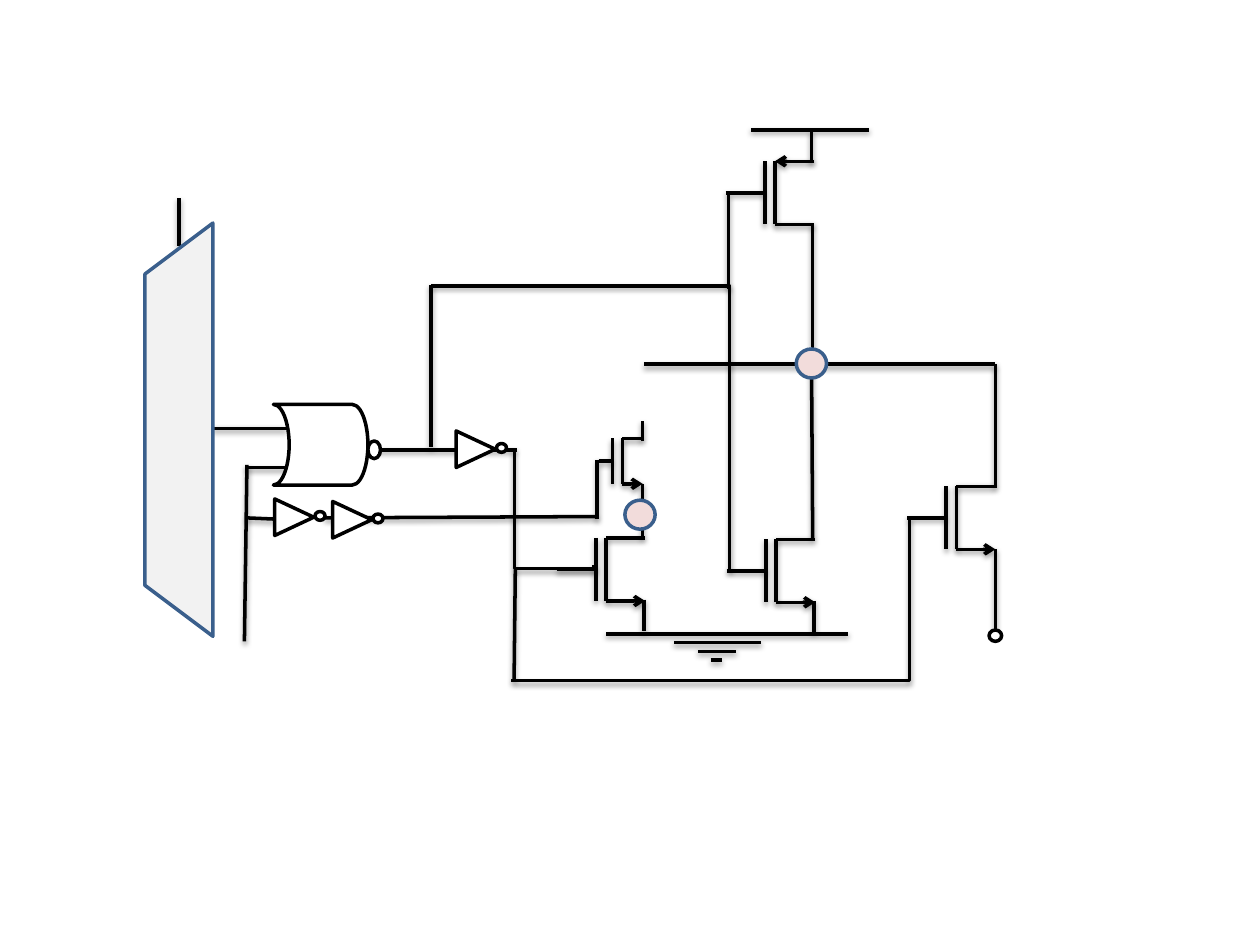
from lxml import etree
from pptx import Presentation
from pptx.dml.color import RGBColor
from pptx.enum.shapes import MSO_CONNECTOR, MSO_SHAPE
from pptx.oxml import parse_xml
from pptx.oxml.ns import nsdecls, qn
from pptx.util import Inches, Pt

THEME = {
    "wire": RGBColor(0x00, 0x00, 0x00),
    "outline": RGBColor(0x3A, 0x5F, 0x8C),
    "node": RGBColor(0xF2, 0xDC, 0xDB),
    "mux": RGBColor(0xF2, 0xF2, 0xF2),
    "gate": RGBColor(0xFF, 0xFF, 0xFF),
    "line": Pt(2),
}
SHADOW = (
    f'<a:effectLst {nsdecls("a")}>'
    '<a:outerShdw blurRad="39400" dist="20300" dir="5400000" rotWithShape="0">'
    '<a:srgbClr val="000000"><a:alpha val="38000"/></a:srgbClr>'
    '</a:outerShdw></a:effectLst>'
)

# Wires: x1, y1, x2, y2
WIRES = [
    # Multiplexer and NOR gate
    (1.42, 1.95, 1.42, 1.57), (1.69, 3.4, 2.27, 3.4),
    (2.28, 3.71, 1.95, 3.71), (1.94, 5.09, 1.96, 3.69),
    (2.98, 3.57, 4.1, 3.57), (3.42, 2.26, 3.42, 3.55),
    # Delay line
    (2.18, 4.12, 1.95, 4.11), (4.74, 4.1, 2.58, 4.11),
    (4.74, 4.12, 4.74, 3.65), (4.08, 5.4, 4.09, 4.52),
    # Left transistor stack
    (5.1, 3.5, 5.1, 3.34), (5.1, 3.84, 5.1, 4.27), (5.11, 4.76, 5.11, 5.01),
    # Right transistor stack
    (5.78, 1.55, 5.78, 2.29), (6.44, 1.04, 6.44, 1.29),
    (6.45, 1.78, 6.45, 2.76), (6.44, 2.77, 6.45, 4.27),
    (6.46, 4.77, 6.46, 5.02),
    # Output branch
    (5.11, 2.89, 7.9, 2.89), (7.9, 2.89, 7.9, 3.87), (7.9, 4.36, 7.9, 5.01),
    # Supply rail and ground
    (5.96, 1.03, 6.9, 1.03), (4.81, 5.03, 6.73, 5.03),
    (5.35, 5.1, 6.04, 5.1), (5.54, 5.17, 5.84, 5.17), (5.64, 5.24, 5.73, 5.24),
]

# Elbow wires: unrotated start and end, rotation, bend position
ELBOWS = [
    ((4.86, 3.71, 3.94, 4.34), 270, 1.03),
    ((4.06, 5.4, 7.22, 4.11), 0, 1),
    ((3.42, 2.27, 5.79, 4.53), 180, 0),
]

# Transistors: channel x, top y, height, drain length, gate lead, is p-type
TRANSISTORS = [
    (4.94, 3.48, 0.36, 0.16, 0.11, False),
    (4.81, 4.27, 0.5, 0.31, 0.31, False),
    (6.16, 4.28, 0.5, 0.31, 0.31, False),
    (7.59, 3.86, 0.5, 0.31, 0.31, False),
    (6.15, 1.28, 0.5, 0.31, 0.31, True),
]
GATE_GAP = 0.08

INVERTERS = [(3.63, 3.41), (2.19, 3.95), (2.65, 3.97)]
NODES = [(4.96, 3.97), (6.32, 2.77)]


def add_wire(shapes, points, kind=MSO_CONNECTOR.STRAIGHT, arrow=False):
    cn = shapes.add_connector(kind, *map(Inches, points))
    cn.line.color.rgb = THEME["wire"]
    cn.line.width = THEME["line"]
    sp_pr = cn._element.spPr
    if arrow:
        etree.SubElement(sp_pr.find(qn("a:ln")), qn("a:tailEnd"), type="arrow")
    sp_pr.append(parse_xml(SHADOW))
    return cn


def add_elbow(shapes, points, rotation, bend):
    sp_pr = add_wire(shapes, points, MSO_CONNECTOR.ELBOW)._element.spPr
    if rotation:
        sp_pr.find(qn("a:xfrm")).set("rot", str(rotation * 60000))
    guides = sp_pr.find(qn("a:prstGeom")).find(qn("a:avLst"))
    etree.SubElement(guides, qn("a:gd"), name="adj1",
                     fmla=f"val {round(bend * 100000)}")


def add_transistor(shapes, x, y, height, drain, lead, p_type):
    gate, bottom, middle = x - GATE_GAP, y + height, y + height / 2
    add_wire(shapes, (x, y, x, bottom))
    add_wire(shapes, (gate, y, gate, bottom))
    add_wire(shapes, (gate - lead, middle, gate, middle))
    if p_type:
        add_wire(shapes, (x + drain, y, x, y), arrow=True)
        add_wire(shapes, (x, bottom, x + drain, bottom))
    else:
        add_wire(shapes, (x, y, x + drain, y))
        add_wire(shapes, (x, bottom, x + drain, bottom), arrow=True)


def add_part(shapes, kind, box, fill="gate", line="wire", rotation=0):
    sp = shapes.add_shape(kind, *map(Inches, box))
    sp.shadow.inherit = False
    sp.fill.solid()
    sp.fill.fore_color.rgb = THEME[fill]
    sp.line.color.rgb = THEME[line]
    sp.line.width = THEME["line"]
    sp.rotation = rotation
    return sp


def main():
    prs = Presentation()
    prs.slide_width, prs.slide_height = Inches(10), Inches(7.5)
    shapes = prs.slides.add_slide(prs.slide_layouts[6]).shapes

    # Wiring and transistors
    for points in WIRES:
        add_wire(shapes, points)
    for elbow in ELBOWS:
        add_elbow(shapes, *elbow)
    for transistor in TRANSISTORS:
        add_transistor(shapes, *transistor)

    # Multiplexer
    mux = add_part(shapes, MSO_SHAPE.TRAPEZOID, (-0.22, 3.14, 3.28, 0.54),
                   "mux", "outline", 270)
    mux.adjustments[0] = 0.75

    # NOR gate with its output bubble
    nor = add_part(shapes, MSO_SHAPE.FLOWCHART_STORED_DATA,
                   (2.17, 3.21, 0.75, 0.64))
    nor._element.spPr.find(qn("a:xfrm")).set("flipH", "1")
    add_part(shapes, MSO_SHAPE.FLOWCHART_CONNECTOR, (2.92, 3.5, 0.1, 0.14))

    # Inverters
    for x, y in INVERTERS:
        add_part(shapes, MSO_SHAPE.ISOSCELES_TRIANGLE, (x, y, 0.29, 0.31),
                 rotation=90)
        add_part(shapes, MSO_SHAPE.FLOWCHART_CONNECTOR,
                 (x + 0.31, y + 0.11, 0.08, 0.07))

    # Circuit nodes and output terminal
    for x, y in NODES:
        add_part(shapes, MSO_SHAPE.OVAL, (x, y, 0.24, 0.23), "node", "outline")
    add_part(shapes, MSO_SHAPE.OVAL, (7.85, 5, 0.1, 0.09))

    prs.save("out.pptx")


if __name__ == "__main__":
    main()
